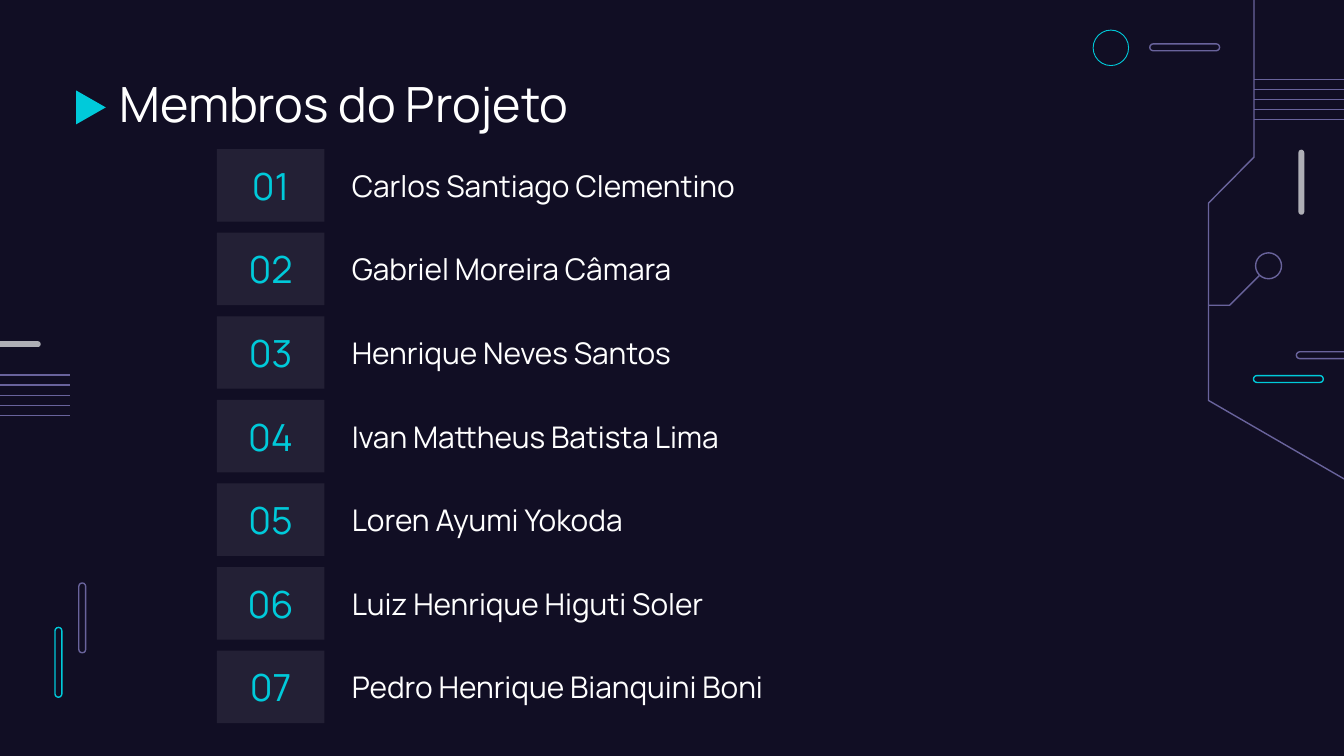
from lxml.etree import SubElement
from pptx import Presentation
from pptx.dml.color import RGBColor
from pptx.enum.shapes import MSO_CONNECTOR, MSO_SHAPE as Preset
from pptx.enum.text import MSO_ANCHOR, MSO_AUTO_SIZE, PP_ALIGN
from pptx.oxml.ns import qn
from pptx.util import Cm, Pt

NAVY, WHITE, CYAN, PURPLE, GREY = "110E24", "FFFFFF", "00CADA", "69639C", "AFAFB6"

MEMBERS = [
    "Carlos Santiago Clementino",
    "Gabriel Moreira Câmara",
    "Henrique Neves Santos",
    "Ivan Mattheus Batista Lima",
    "Loren Ayumi Yokoda",
    "Luiz Henrique Higuti Soler",
    "Pedro Henrique Bianquini Boni",
]
FIRST_ROW, ROW_PITCH, ROW_HEIGHT = 2.82, 1.58, 1.37
STRIPE_COUNT, STRIPE_PITCH = 5, 0.19
LONG, THIN = 1.32, 0.13


def color(hex_string):
    return RGBColor.from_string(hex_string)


class SlideBuilder:
    """Holds the style and the current slide; all lengths are centimetres."""

    font_name = "Manrope"
    line_width = 0.75
    inset = 0.25

    def __init__(self, slide):
        self.slide = slide
        self.shapes = slide.shapes

    def background(self, fill):
        self.slide.background.fill.solid()
        self.slide.background.fill.fore_color.rgb = color(fill)

    def set_text(self, shape, text, size, text_color, align=PP_ALIGN.LEFT):
        frame = shape.text_frame
        frame.text = text
        frame.word_wrap = True
        frame.auto_size = MSO_AUTO_SIZE.NONE
        frame.vertical_anchor = MSO_ANCHOR.MIDDLE
        frame.margin_left = frame.margin_right = Cm(self.inset)
        frame.margin_top = frame.margin_bottom = Cm(self.inset)
        paragraph = frame.paragraphs[0]
        paragraph.alignment = align
        for run in paragraph.runs:
            run.font.name = self.font_name
            run.font.size = Pt(size)
            run.font.color.rgb = color(text_color)

    def title(self, text, left, top, width, height):
        title = self.shapes.title
        title.left, title.top = Cm(left), Cm(top)
        title.width, title.height = Cm(width), Cm(height)
        self.set_text(title, text, 26, WHITE)

    def label(self, text, left, top, width, height):
        box = self.shapes.add_textbox(Cm(left), Cm(top), Cm(width), Cm(height))
        self.set_text(box, text, 16, WHITE)

    def paint(self, shape, fill=None, line=None, line_width=line_width):
        shape.shadow.inherit = False
        if fill:
            shape.fill.solid()
            shape.fill.fore_color.rgb = color(fill)
        else:
            shape.fill.background()
        if line:
            shape.line.color.rgb = color(line)
            shape.line.width = Pt(line_width)
        else:
            shape.line.fill.background()

    def preset(self, kind, left, top, width, height, **paint):
        shape = self.shapes.add_shape(kind, Cm(left), Cm(top), Cm(width), Cm(height))
        self.paint(shape, **paint)
        return shape

    def capsule(self, left, top, width, height, **paint):
        shape = self.preset(Preset.ROUNDED_RECTANGLE, left, top, width, height, **paint)
        shape.adjustments[0] = 0.5

    def number_tile(self, text, left, top, width, height):
        tile = self.preset(Preset.RECTANGLE, left, top, width, height, fill=WHITE)
        fill_color = tile.element.spPr.find(qn("a:solidFill")).find(qn("a:srgbClr"))
        SubElement(fill_color, qn("a:alpha"), val="8000")
        self.set_text(tile, text, 20, CYAN, PP_ALIGN.CENTER)

    def trace(self, *points):
        """Draw an open circuit path through the points."""
        start, *others = [(Cm(x), Cm(y)) for x, y in points]
        builder = self.shapes.build_freeform(*start)
        builder.add_line_segments(others, close=False)
        self.paint(builder.convert_to_shape(), line=PURPLE)

    def stripes(self, start_x, end_x, top):
        for index in range(STRIPE_COUNT):
            y = Cm(top + index * STRIPE_PITCH)
            stripe = self.shapes.add_connector(
                MSO_CONNECTOR.STRAIGHT, Cm(start_x), y, Cm(end_x), y)
            stripe.line.color.rgb = color(PURPLE)
            stripe.line.width = Pt(self.line_width)
            SubElement(stripe.element.spPr, qn("a:effectLst"))

    def circuit_decoration(self):
        self.capsule(1.04, 11.86, THIN, LONG, line=CYAN)
        self.capsule(1.49, 11.02, THIN, LONG, line=PURPLE)
        self.capsule(23.69, 7.1, LONG, THIN, line=CYAN)
        self.capsule(24.5, 6.65, LONG, THIN, line=PURPLE)
        self.preset(Preset.OVAL, 20.66, 0.57, 0.67, 0.67, line=CYAN, line_width=0.47)
        self.capsule(21.73, 0.83, LONG, THIN, line=PURPLE)
        self.trace((23.8, 5.21), (23.24, 5.77), (22.84, 5.77))
        self.preset(Preset.OVAL, 23.73, 4.78, 0.49, 0.49, line=PURPLE)
        self.trace((25.69, 9.22), (22.84, 7.57), (22.84, 3.84), (23.7, 2.97), (23.7, -0.15))
        self.stripes(23.7, 27.43, 1.5)
        self.stripes(1.32, -1.55, 7.09)
        self.capsule(24.54, 2.83, 0.11, 1.23, fill=GREY)
        self.capsule(-0.46, 6.45, 1.23, 0.11, fill=GREY)


def main():
    presentation = Presentation()
    presentation.slide_width, presentation.slide_height = Cm(25.4), Cm(14.29)
    slide = presentation.slides.add_slide(presentation.slide_layouts[5])

    builder = SlideBuilder(slide)
    builder.background(NAVY)
    builder.circuit_decoration()
    marker = builder.preset(Preset.FLOWCHART_MERGE, 1.4, 1.75, 0.64, 0.56, fill=CYAN)
    marker.rotation = 270
    builder.title("Membros do Projeto", 2.01, 1.14, 21.41, 1.6)
    for index, member in enumerate(MEMBERS):
        top = FIRST_ROW + index * ROW_PITCH
        builder.number_tile(f"{index + 1:02}", 4.1, top, 2.03, ROW_HEIGHT)
        builder.label(member, 6.4, top, 9.83, ROW_HEIGHT)

    presentation.save("out.pptx")


if __name__ == "__main__":
    main()
